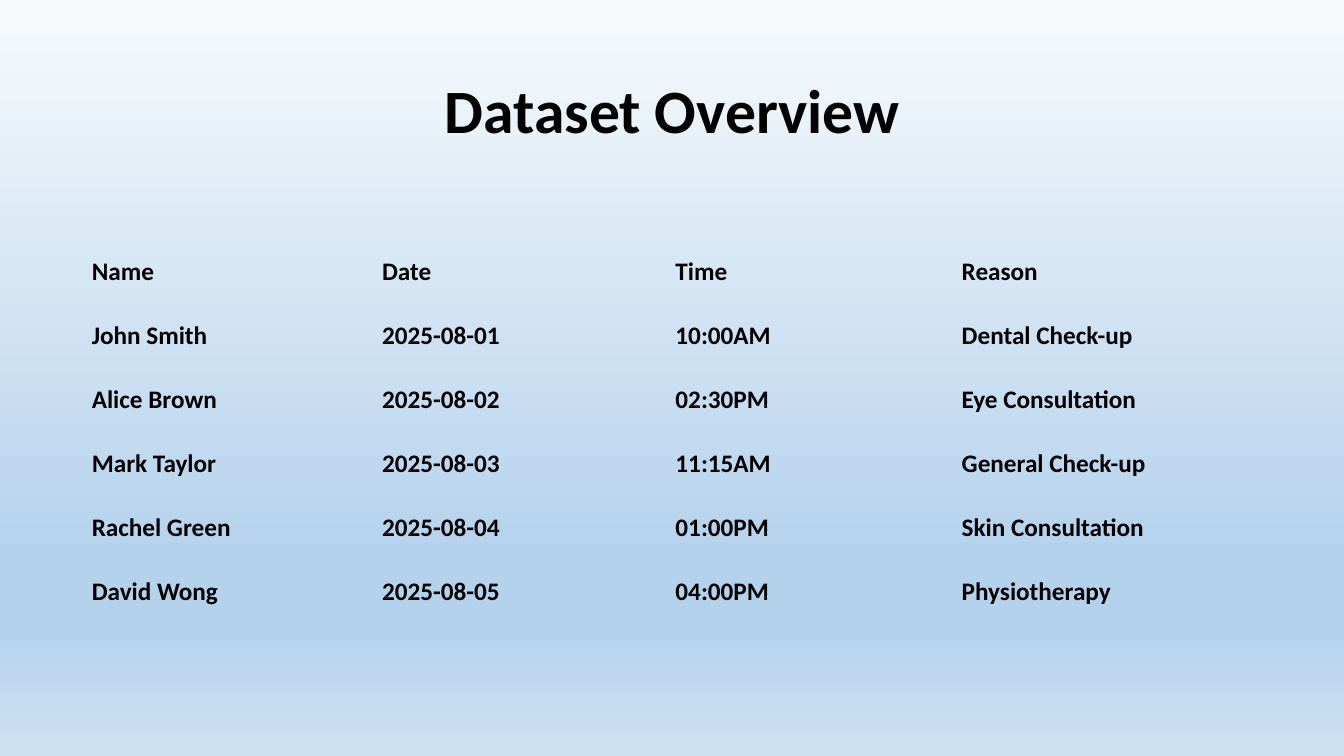
import dataclasses

import lxml.etree
import pptx
import pptx.dml.color
import pptx.enum.text
import pptx.oxml.ns
import pptx.slide
import pptx.text.text
import pptx.util

WIDE = pptx.util.Inches(13.33)
HIGH = pptx.util.Inches(7.5)
FONT = "Calibri"
INK = "000000"
PLAIN = "{2D5ABB26-0587-4C30-8999-92F81FD0307C}"


@dataclasses.dataclass(frozen=True)
class Stop:
    place: int
    tone: str


@dataclasses.dataclass(frozen=True)
class Visit:
    name: str
    date: str
    time: str
    reason: str


STOPS = [Stop(0, "F7FAFD"), Stop(74, "B5D2EC"), Stop(83, "B5D2EC"), Stop(100, "CEE1F2")]
VISITS = [
    Visit("Name", "Date", "Time", "Reason"),
    Visit("John Smith", "2025-08-01", "10:00AM", "Dental Check-up"),
    Visit("Alice Brown", "2025-08-02", "02:30PM", "Eye Consultation"),
    Visit("Mark Taylor", "2025-08-03", "11:15AM", "General Check-up"),
    Visit("Rachel Green", "2025-08-04", "01:00PM", "Skin Consultation"),
    Visit("David Wong", "2025-08-05", "04:00PM", "Physiotherapy"),
]
SPANS = [21.6, 21.83, 21.3, 21.6]
ROW = 8.47


def across(share: float) -> int:
    return round(WIDE * share / 100)


def down(share: float) -> int:
    return round(HIGH * share / 100)


def color(tone: str) -> pptx.dml.color.RGBColor:
    return pptx.dml.color.RGBColor.from_string(tone)


def write(line: pptx.text.text._Paragraph, text: str, size: int) -> None:
    run = line.add_run()
    run.text = text
    run.font.name = FONT
    run.font.size = pptx.util.Pt(size)
    run.font.bold = True
    run.font.color.rgb = color(INK)


def shade(slide: pptx.slide.Slide, stops: list[Stop]) -> None:
    fill = slide.background.fill
    fill.gradient()
    fill.gradient_angle = 270
    tag = pptx.oxml.ns.qn
    ramp = next(slide.element.iter(tag("a:gsLst")))
    for old in list(ramp):
        ramp.remove(old)
    for stop in stops:
        node = lxml.etree.SubElement(ramp, tag("a:gs"), pos=str(stop.place * 1000))
        lxml.etree.SubElement(node, tag("a:srgbClr"), val=stop.tone)


def head(slide: pptx.slide.Slide, text: str) -> None:
    box = slide.shapes.add_textbox(across(6.9), down(5.33), across(86.27), down(19.33))
    frame = box.text_frame
    frame.word_wrap = True
    frame.vertical_anchor = pptx.enum.text.MSO_ANCHOR.MIDDLE
    line = frame.paragraphs[0]
    line.alignment = pptx.enum.text.PP_ALIGN.CENTER
    line.line_spacing = 0.9
    write(line, text, 44)


def chart(slide: pptx.slide.Slide, visits: list[Visit]) -> None:
    frame = slide.shapes.add_table(
        len(visits), len(SPANS), across(6.08), down(31.73),
        across(sum(SPANS)), down(ROW * len(visits)),
    )
    table = frame.table
    table.first_row = False
    table.horz_banding = False
    next(frame.element.iter(pptx.oxml.ns.qn("a:tableStyleId"))).text = PLAIN
    for column, span in zip(table.columns, SPANS):
        column.width = across(span)
    for row, visit in zip(table.rows, visits):
        row.height = down(ROW)
        for cell, text in zip(row.cells, dataclasses.astuple(visit)):
            cell.fill.background()
            cell.vertical_anchor = pptx.enum.text.MSO_ANCHOR.MIDDLE
            write(cell.text_frame.paragraphs[0], text, 18)


def main() -> None:
    deck = pptx.Presentation()
    deck.slide_width = WIDE
    deck.slide_height = HIGH
    slide = deck.slides.add_slide(deck.slide_layouts[6])
    shade(slide, STOPS)
    head(slide, "Dataset Overview")
    chart(slide, VISITS)
    deck.save("out.pptx")


if __name__ == "__main__":
    main()
